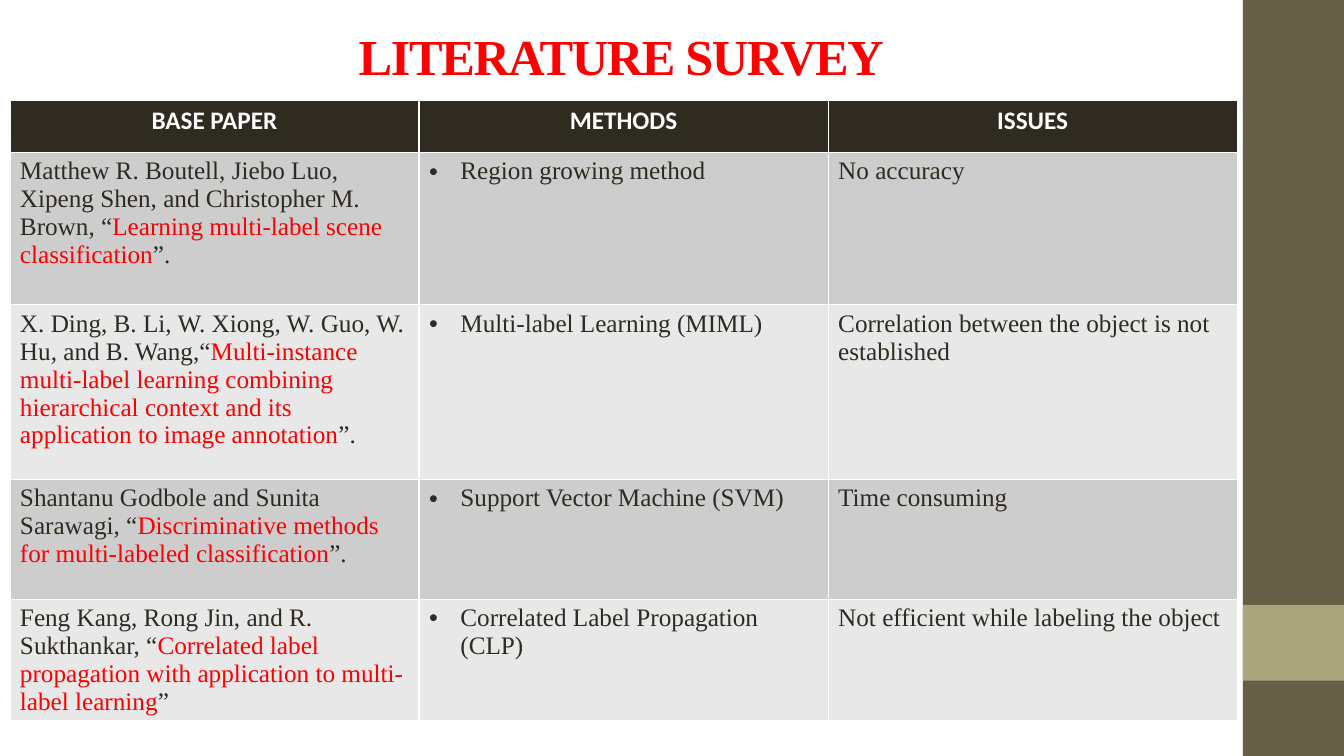
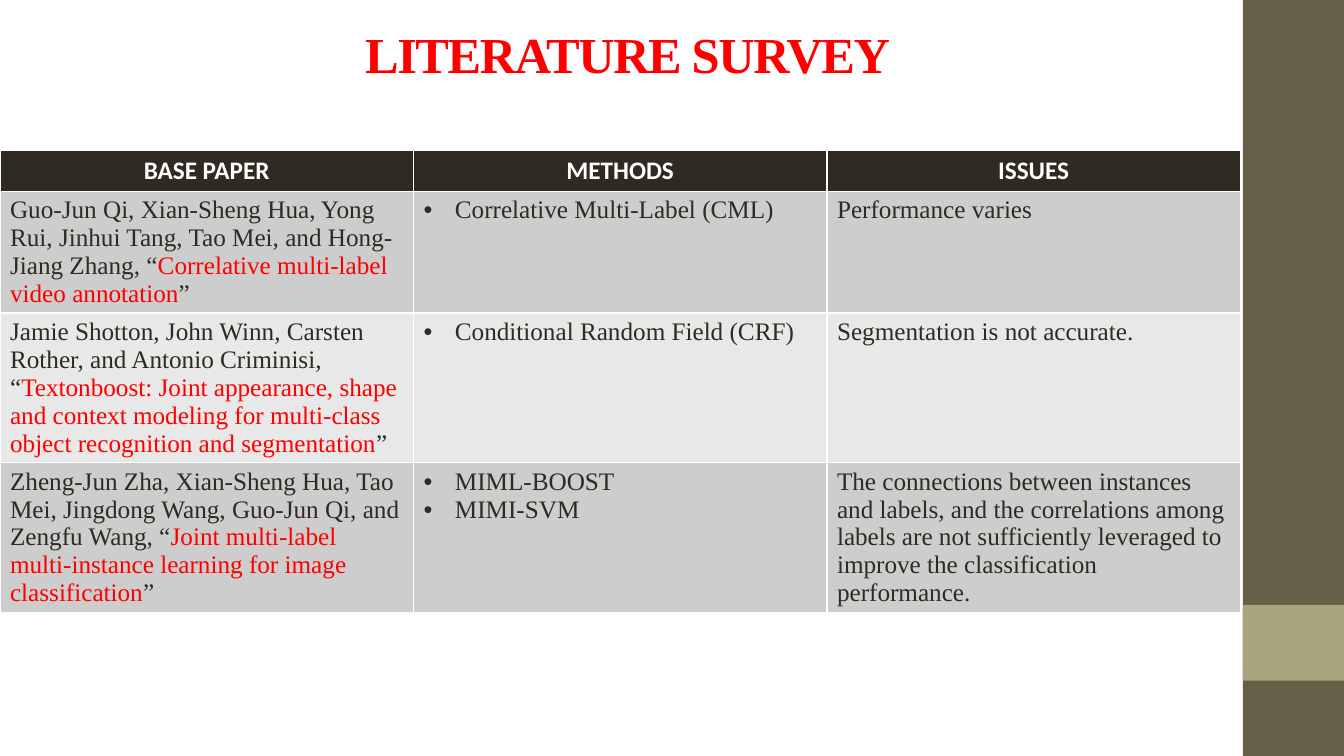
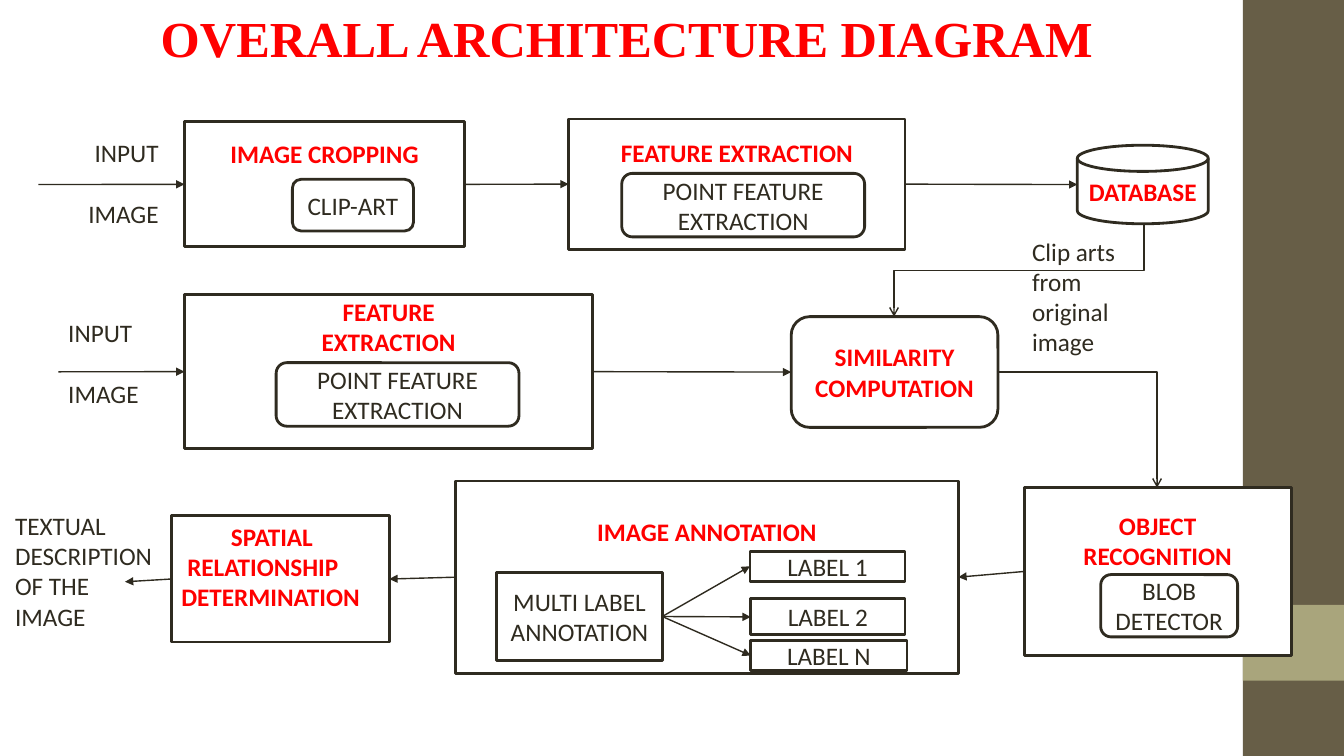
from dataclasses import dataclass

from lxml.etree import SubElement
from pptx import Presentation
from pptx.dml.color import RGBColor
from pptx.enum.shapes import MSO_CONNECTOR, MSO_SHAPE
from pptx.enum.text import MSO_ANCHOR, MSO_AUTO_SIZE, PP_ALIGN
from pptx.oxml.ns import qn
from pptx.shapes.autoshape import Shape
from pptx.shapes.connector import Connector
from pptx.slide import Slide
from pptx.util import Cm, Pt


@dataclass(frozen=True)
class Theme:
    ink: str = "2F2B20"
    arrow: str = "2E2A1F"
    accent: str = "FF0000"
    paper: str = "FFFFFF"
    band: str = "675E47"
    band_light: str = "A9A57C"
    row_dark: str = "CDCDCD"
    row_light: str = "E8E8E8"
    serif: str = "Times New Roman"
    sans: str = "Calibri"
    title_size: int = 36
    body_size: int = 18
    outline: float = 2
    arrow_width: float = 1


THEME = Theme()
WIDTH, HEIGHT, BAND_WIDTH = 33.87, 19.05, 2.55
TOP, LEFT, BOTTOM, RIGHT = range(4)


@dataclass(frozen=True)
class Frame:
    """A place on the slide, in centimetres."""
    left: float
    top: float
    width: float
    height: float

    def lengths(self) -> tuple:
        return Cm(self.left), Cm(self.top), Cm(self.width), Cm(self.height)


@dataclass(frozen=True)
class Study:
    authors: str
    paper: str
    closing: str
    methods: tuple[str, ...]
    issue: str
    height: float


@dataclass(frozen=True)
class Survey:
    title: Frame
    table: Frame
    header_height: float
    studies: tuple[Study, ...]


@dataclass(frozen=True)
class Box:
    key: str
    frame: Frame
    text: str
    heading: bool = False
    preset: MSO_SHAPE = MSO_SHAPE.RECTANGLE
    top_inset: float | None = None  # caption at the top instead of the middle


@dataclass(frozen=True)
class Note:
    frame: Frame
    text: str
    align: PP_ALIGN = PP_ALIGN.LEFT
    gap: float = 0


@dataclass(frozen=True)
class Side:
    """The middle of one side of a box."""
    key: str
    site: int


Point = tuple[float, float]
End = Side | Point

HEADERS = ("BASE PAPER", "METHODS", "ISSUES")

SURVEYS = (
    Survey(Frame(0, 0.41, 31.32, 1.98), Frame(0.25, 2.54, 30.92, 15.55), 1.3, (
        Study("Matthew R. Boutell, Jiebo Luo, Xipeng Shen, and Christopher M. Brown, “",
              "Learning multi-label scene classification", "”.",
              ("Region growing method",), "No accuracy", 3.84),
        Study("X. Ding, B. Li, W. Xiong, W. Guo, W. Hu, and B. Wang,“",
              "Multi-instance multi-label learning combining hierarchical context "
              "and its application to image annotation", "”.",
              ("Multi-label Learning (MIML)",),
              "Correlation between the object is not established", 4.4),
        Study("Shantanu Godbole and Sunita Sarawagi, “",
              "Discriminative methods for multi-labeled classification", "”.",
              ("Support Vector Machine (SVM)",), "Time consuming", 3.02),
        Study("Feng Kang, Rong Jin, and R. Sukthankar, “",
              "Correlated label propagation with application to multi-label learning", "”",
              ("Correlated Label Propagation (CLP)",),
              "Not efficient while labeling the object", 3.02),
    )),
    Survey(Frame(1.75, 0.03, 28.14, 2.64), Frame(0, 3.78, 31.26, 11.6), 1.04, (
        Study("Guo-Jun Qi, Xian-Sheng Hua, Yong Rui, Jinhui Tang, Tao Mei, and "
              "Hong-Jiang Zhang, “",
              "Correlative multi-label video annotation", "”",
              ("Correlative Multi-Label (CML)",), "Performance varies", 3.05),
        Study("Jamie Shotton, John Winn, Carsten Rother, and Antonio Criminisi, “",
              "Textonboost: Joint appearance, shape and context modeling for "
              "multi-class object recognition and segmentation", "”",
              ("Conditional Random Field (CRF)",), "Segmentation is not accurate.", 3.75),
        Study("Zheng-Jun Zha, Xian-Sheng Hua, Tao Mei, Jingdong Wang, Guo-Jun Qi, and "
              "Zengfu Wang, “",
              "Joint multi-label multi-instance learning for image classification", "”",
              ("MIML-BOOST", "MIMI-SVM"),
              "The connections between instances and labels, and the correlations among "
              "labels are not sufficiently leveraged to improve the classification "
              "performance.", 3.75),
    )),
)

ROUNDED = MSO_SHAPE.ROUNDED_RECTANGLE
BOXES = (
    Box("cropping", Frame(4.65, 3.07, 7.06, 3.15), "IMAGE CROPPING", True, top_inset=0.42),
    Box("clip art", Frame(7.37, 4.52, 3.05, 1.3), "CLIP-ART", preset=ROUNDED),
    Box("clip features", Frame(14.33, 3, 8.48, 3.28), "FEATURE EXTRACTION", True,
        top_inset=0.47),
    Box("clip points", Frame(15.67, 4.37, 6.12, 1.6), "POINT FEATURE EXTRACTION",
        preset=ROUNDED),
    Box("database", Frame(27.15, 3.66, 3.3, 1.98), "DATABASE", True,
        MSO_SHAPE.FLOWCHART_MAGNETIC_DISK),
    Box("image features", Frame(4.65, 7.42, 10.29, 3.89), "FEATURE\nEXTRACTION", True,
        top_inset=0.05),
    Box("image points", Frame(6.96, 9.14, 6.12, 1.6), "POINT FEATURE EXTRACTION",
        preset=ROUNDED),
    Box("similarity", Frame(19.94, 7.98, 5.21, 2.79), "SIMILARITY\nCOMPUTATION", True,
        ROUNDED),
    Box("recognition", Frame(25.81, 12.29, 6.73, 4.22), "OBJECT\nRECOGNITION", True,
        top_inset=0.56),
    Box("blob", Frame(27.74, 14.48, 3.45, 1.57), "BLOB DETECTOR", preset=ROUNDED),
    Box("annotation", Frame(11.48, 12.12, 12.67, 4.85), "IMAGE ANNOTATION", True,
        top_inset=0.88),
    Box("multi label", Frame(12.52, 14.43, 4.17, 2.21), "MULTI LABEL ANNOTATION"),
    Box("label 1", Frame(18.9, 13.89, 3.91, 0.76), "LABEL 1"),
    Box("label 2", Frame(18.92, 15.09, 3.89, 0.91), "LABEL 2"),
    Box("label n", Frame(18.92, 16.15, 3.94, 0.74), "LABEL N"),
    Box("spatial", Frame(4.32, 13, 5.49, 3.18), "SPATIAL\nRELATIONSHIP DETERMINATION",
        True, top_inset=0.13),
)

NOTES = (
    Note(Frame(1.96, 3.33, 2.29, 3.33), "INPUT\nIMAGE", PP_ALIGN.RIGHT, 22),
    Note(Frame(1.47, 7.87, 2.62, 3.33), "INPUT\nIMAGE", gap=22),
    Note(Frame(25.76, 5.82, 3.4, 3.33), "Clip arts from original image"),
    Note(Frame(0.13, 12.73, 4.17, 3.33), "TEXTUAL DESCRIPTION OF THE IMAGE"),
)

ARROWS: tuple[tuple[End, End], ...] = (
    ((0.97, 4.65), Side("cropping", LEFT)),
    (Side("cropping", RIGHT), Side("clip features", LEFT)),
    (Side("clip features", RIGHT), (27.15, 4.65)),
    ((1.47, 9.37), Side("image features", LEFT)),
    (Side("image features", RIGHT), Side("similarity", LEFT)),
    (Side("recognition", LEFT), Side("annotation", RIGHT)),
    (Side("annotation", LEFT), Side("spatial", RIGHT)),
    (Side("spatial", LEFT), (3.15, 14.66)),
    *((Side("multi label", RIGHT), Side(label, LEFT))
      for label in ("label 1", "label 2", "label n")),
)


def rgb(color: str) -> RGBColor:
    return RGBColor.from_string(color)


def style(paragraph, color: str | None, face: str, size: int = THEME.body_size,
          bold: bool = False, align: PP_ALIGN = PP_ALIGN.LEFT) -> None:
    """Format a paragraph; without a colour, its runs carry their own."""
    paragraph.alignment = align
    font = paragraph.font
    font.name, font.size, font.bold = face, Pt(size), bold
    if color:
        font.color.rgb = rgb(color)


def add_bands(slide: Slide) -> None:
    """Draw the side bands, then hand them to the master that all slides share."""
    master_tree = slide.slide_layout.slide_master.shapes._spTree
    bands = ((0, HEIGHT, THEME.band), (15.24, 1.91, THEME.band_light))
    for order, (top, height, color) in enumerate(bands):
        frame = Frame(WIDTH - BAND_WIDTH, top, BAND_WIDTH, height)
        band = slide.shapes.add_shape(MSO_SHAPE.RECTANGLE, *frame.lengths())
        band.shadow.inherit = False
        band.fill.solid()
        band.fill.fore_color.rgb = rgb(color)
        band.line.fill.background()
        band._element.nvSpPr.cNvPr.set("id", str(100 + order))
        master_tree.insert(2 + order, band._element)


def set_title(slide: Slide, text: str, frame: Frame, spacing: float = 0) -> None:
    title = slide.shapes.title
    title.left, title.top, title.width, title.height = frame.lengths()
    title.text_frame.text = text
    title.text_frame.auto_size = MSO_AUTO_SIZE.NONE
    title.text_frame.vertical_anchor = MSO_ANCHOR.MIDDLE
    paragraph = title.text_frame.paragraphs[0]
    style(paragraph, THEME.accent, THEME.serif, THEME.title_size, True, PP_ALIGN.CENTER)
    if spacing:
        paragraph.font._rPr.set("spc", str(int(spacing * 100)))


def add_bullet(paragraph) -> None:
    properties = paragraph._p.get_or_add_pPr()
    properties.set("marL", str(Cm(0.79)))
    properties.set("indent", str(Cm(-0.79)))
    default_run = properties.find(qn("a:defRPr"))
    bullet_font = SubElement(properties, qn("a:buFont"), typeface="Arial")
    bullet = SubElement(properties, qn("a:buChar"), char="•")
    if default_run is not None:
        default_run.addprevious(bullet_font)
        default_run.addprevious(bullet)


def fill_cell(cell, color: str) -> None:
    cell.fill.solid()
    cell.fill.fore_color.rgb = rgb(color)


def add_survey(slide: Slide, survey: Survey) -> None:
    set_title(slide, "LITERATURE SURVEY", survey.title, spacing=-1)
    table = slide.shapes.add_table(len(survey.studies) + 1, len(HEADERS),
                                   *survey.table.lengths()).table
    for column in table.columns:
        column.width = Cm(round(survey.table.width / len(HEADERS), 2))
    table.rows[0].height = Cm(survey.header_height)
    for cell, header in zip(table.rows[0].cells, HEADERS):
        cell.text = header
        style(cell.text_frame.paragraphs[0], THEME.paper, THEME.sans, bold=True,
              align=PP_ALIGN.CENTER)
        fill_cell(cell, THEME.ink)

    for number, study in enumerate(survey.studies, start=1):
        row = table.rows[number]
        row.height = Cm(study.height)
        paper, methods, issue = row.cells
        citation = paper.text_frame.paragraphs[0]
        style(citation, None, THEME.serif)
        for text, color in ((study.authors, THEME.ink), (study.paper, THEME.accent),
                            (study.closing, THEME.ink)):
            run = citation.add_run()
            run.text = text
            run.font.color.rgb = rgb(color)
        methods.text = "\n".join(study.methods)
        issue.text = study.issue
        for paragraph in (*methods.text_frame.paragraphs, *issue.text_frame.paragraphs):
            style(paragraph, THEME.ink, THEME.serif)
        for paragraph in methods.text_frame.paragraphs:
            add_bullet(paragraph)
        for cell in row.cells:
            fill_cell(cell, THEME.row_dark if number % 2 else THEME.row_light)


def add_box(slide: Slide, box: Box) -> Shape:
    shape = slide.shapes.add_shape(box.preset, *box.frame.lengths())
    shape.shadow.inherit = False
    shape.fill.solid()
    shape.fill.fore_color.rgb = rgb(THEME.paper)
    shape.line.color.rgb = rgb(THEME.ink)
    shape.line.width = Pt(THEME.outline)
    text_frame = shape.text_frame
    text_frame.text = box.text
    text_frame.word_wrap = True
    text_frame.vertical_anchor = MSO_ANCHOR.MIDDLE
    if box.top_inset is not None:
        text_frame.vertical_anchor = MSO_ANCHOR.TOP
        text_frame.margin_top = Cm(box.top_inset)
    for paragraph in text_frame.paragraphs:
        style(paragraph, THEME.accent if box.heading else THEME.ink, THEME.sans,
              bold=box.heading, align=PP_ALIGN.CENTER)
    return shape


def add_note(slide: Slide, note: Note) -> None:
    text_frame = slide.shapes.add_textbox(*note.frame.lengths()).text_frame
    text_frame.text = note.text
    text_frame.word_wrap = True
    for number, paragraph in enumerate(text_frame.paragraphs):
        style(paragraph, THEME.ink, THEME.sans, align=note.align)
        if number:
            paragraph.space_before = Pt(note.gap)


def add_arrow(slide: Slide, start: Point, end: Point, head: str = "triangle",
              route: MSO_CONNECTOR = MSO_CONNECTOR.STRAIGHT) -> Connector:
    arrow = slide.shapes.add_connector(route, *map(Cm, (*start, *end)))
    arrow.line.color.rgb = rgb(THEME.arrow)
    arrow.line.width = Pt(THEME.arrow_width)
    SubElement(arrow.line._get_or_add_ln(), qn("a:tailEnd"), type=head)
    SubElement(arrow._element.spPr, qn("a:effectLst"))
    return arrow


def join(slide: Slide, boxes: dict[str, Shape], start: End, end: End) -> None:
    """Draw a straight arrow and tie it to the boxes it touches."""
    origin = (0, 0)
    arrow = add_arrow(slide, origin if isinstance(start, Side) else start,
                      origin if isinstance(end, Side) else end)
    if isinstance(start, Side):
        arrow.begin_connect(boxes[start.key], start.site)
    if isinstance(end, Side):
        arrow.end_connect(boxes[end.key], end.site)


def add_architecture(slide: Slide) -> None:
    set_title(slide, "OVERALL ARCHITECTURE DIAGRAM", Frame(0, 0.03, 31.6, 1.8))
    boxes = {box.key: add_box(slide, box) for box in BOXES}
    for paragraph, indent in zip(boxes["spatial"].text_frame.paragraphs, (1.25, 0.15)):
        paragraph.alignment = PP_ALIGN.LEFT
        paragraph._p.get_or_add_pPr().set("indent", str(Cm(indent)))
    for note in NOTES:
        add_note(slide, note)
    for start, end in ARROWS:
        join(slide, boxes, start, end)

    # A quarter turn makes the elbow leave the database downwards.
    to_similarity = add_arrow(slide, (24.51, 3.66), (26.85, 9.96), "arrow",
                              MSO_CONNECTOR.ELBOW)
    to_similarity._element.spPr.find(qn("a:xfrm")).set("rot", str(90 * 60000))
    to_recognition = add_arrow(slide, (25.12, 9.37), (29.16, 12.29), "arrow",
                               MSO_CONNECTOR.ELBOW)
    to_recognition._element.spPr.find(qn("a:prstGeom")).set("prst", "bentConnector2")


def main() -> None:
    deck = Presentation()
    deck.slide_width, deck.slide_height = Cm(WIDTH), Cm(HEIGHT)
    title_only = deck.slide_layouts[5]
    slides = [deck.slides.add_slide(title_only) for _ in range(len(SURVEYS) + 1)]
    add_bands(slides[0])
    for slide, survey in zip(slides, SURVEYS):
        add_survey(slide, survey)
    add_architecture(slides[-1])
    deck.save("out.pptx")


if __name__ == "__main__":
    main()
